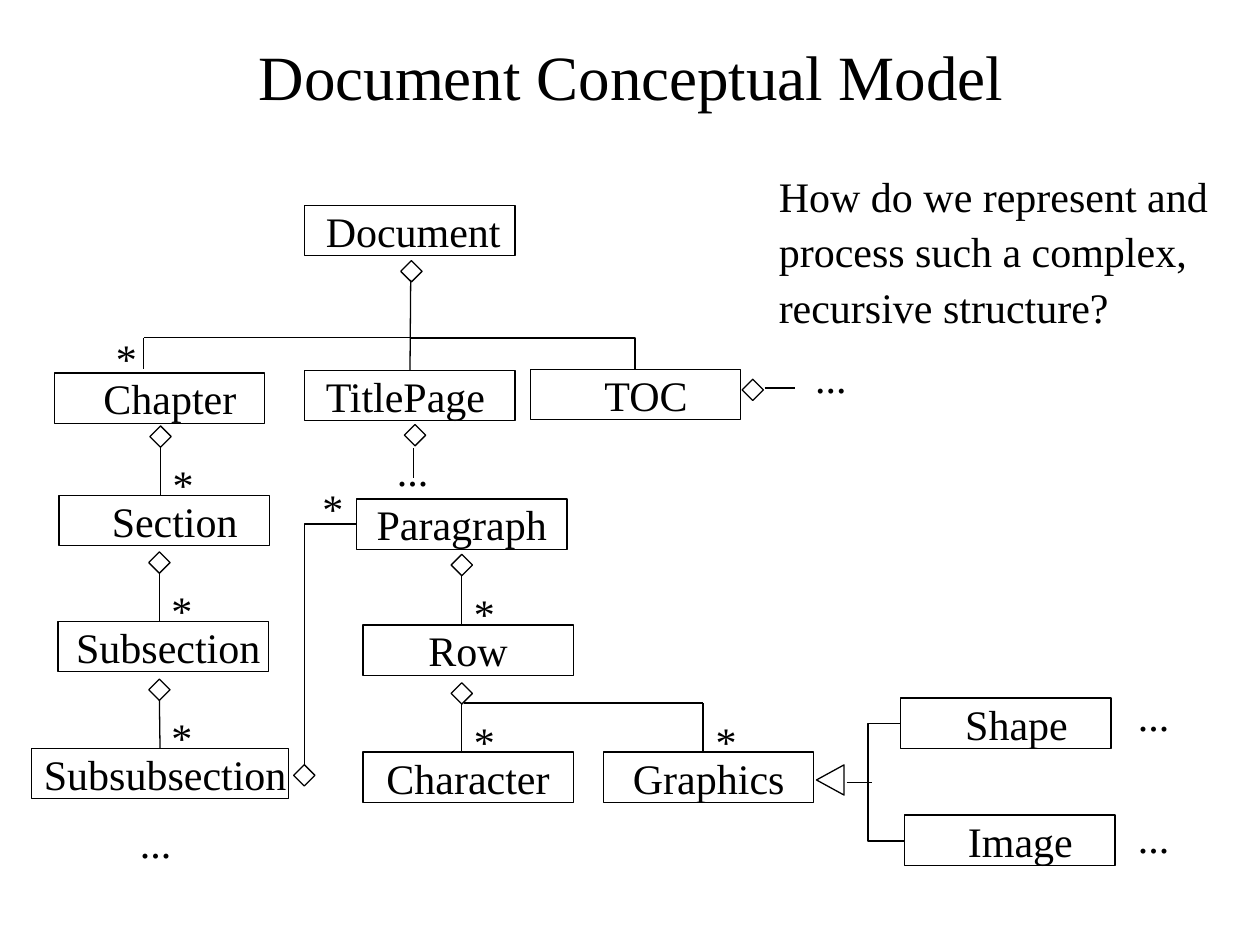
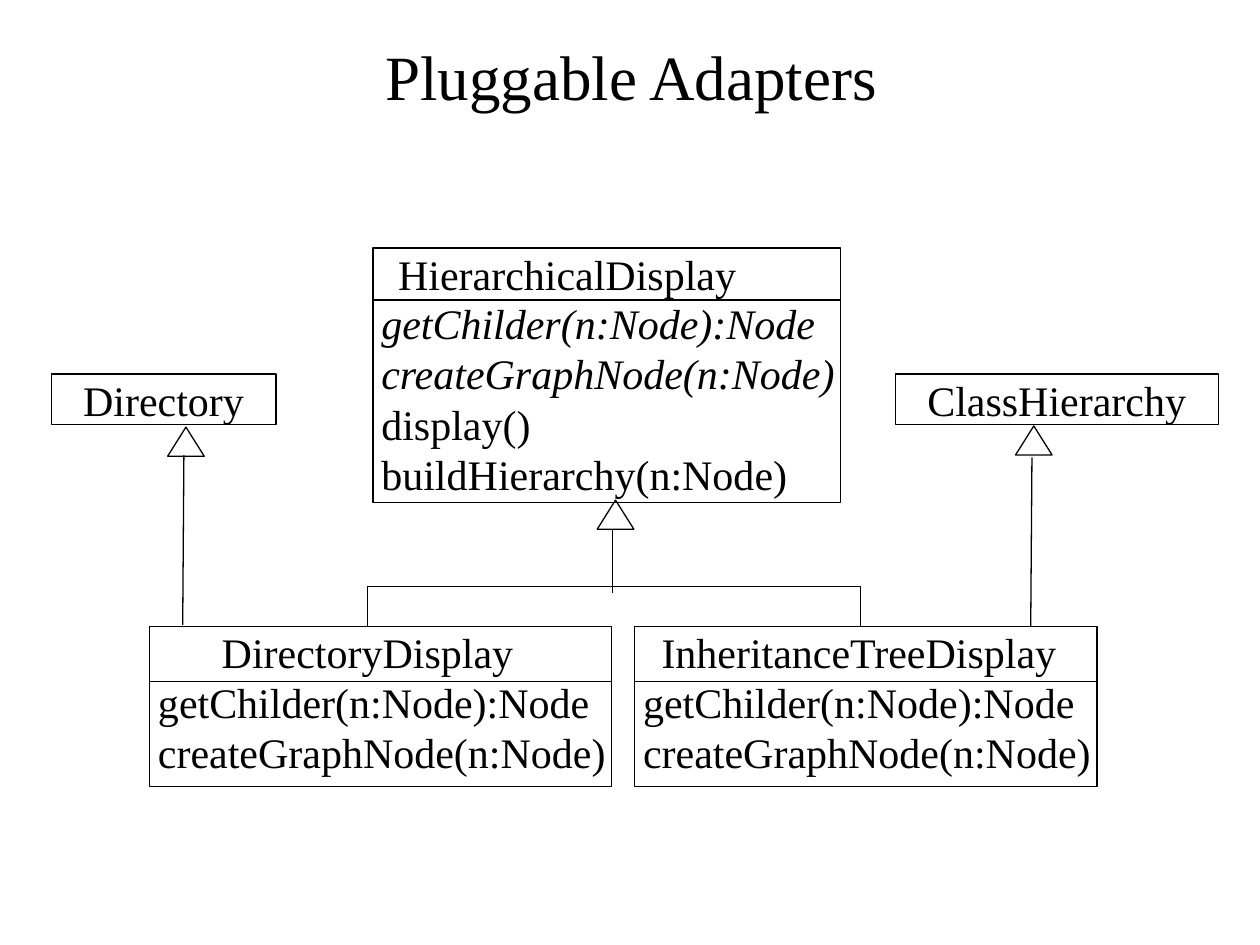
from lxml.etree import SubElement
from pptx import Presentation
from pptx.dml.color import RGBColor
from pptx.enum.shapes import MSO_CONNECTOR as Connector, MSO_SHAPE as Preset
from pptx.enum.text import MSO_ANCHOR as Anchor, MSO_AUTO_SIZE as AutoSize, PP_ALIGN as Align
from pptx.oxml.ns import qn
from pptx.util import Pt

TITLE_ONLY = 5
TOP_SIDE = 0
BOX_WIDTH, LINE_HEIGHT, DIAMOND = 120.2, 28.8, 12.2


def color(value):
    return RGBColor.from_string(value)


def set_values(target, values):
    for name, value in values.items():
        setattr(target, name, value)


class Diagram:
    ink = "000000"
    line_width = 0.75
    body_font = {"name": "Times New Roman", "size": Pt(24)}
    title_font = {"name": "Times New Roman", "size": Pt(36)}

    def __init__(self):
        self.presentation = Presentation()
        set_values(self.presentation, {"slide_width": Pt(720), "slide_height": Pt(540)})
        self.slide = None

    def new_slide(self, title):
        layout = self.presentation.slide_layouts[TITLE_ONLY]
        self.slide = self.presentation.slides.add_slide(layout)
        shape = self.slide.shapes.title
        set_values(shape, {"left": Pt(16.6), "top": Pt(17.3), "width": Pt(688.3), "height": Pt(51.8)})
        set_values(shape.text_frame, {"auto_size": AutoSize.NONE, "vertical_anchor": Anchor.MIDDLE})
        paragraph = shape.text_frame.paragraphs[0]
        paragraph.alignment = Align.CENTER
        self.add_run(paragraph, title, self.title_font)

    def add_run(self, paragraph, text, font, italic=False):
        run = paragraph.add_run()
        run.text = text
        set_values(run.font, {**font, "italic": italic})
        run.font.color.rgb = color(self.ink)

    def fill_text(self, shape, lines, align=Align.LEFT, inset=0, wrap=True, gap=0, italics=0):
        frame = shape.text_frame
        set_values(frame, {
            "margin_left": Pt(inset), "margin_right": 0, "margin_top": 0, "margin_bottom": 0,
            "word_wrap": wrap, "auto_size": AutoSize.NONE, "vertical_anchor": Anchor.TOP,
        })
        for index, line in enumerate(lines):
            paragraph = frame.add_paragraph() if index else frame.paragraphs[0]
            set_values(paragraph, {
                "alignment": align, "line_spacing": Pt(LINE_HEIGHT),
                "space_before": Pt(gap if index else 0),
            })
            self.add_run(paragraph, line, self.body_font, index < italics)

    def outline(self, preset, left, top, width, height, rotation=0):
        shape = self.slide.shapes.add_shape(preset, Pt(left), Pt(top), Pt(width), Pt(height))
        shape.fill.background()
        shape.line.color.rgb = color(self.ink)
        shape.line.width = Pt(self.line_width)
        shape.shadow.inherit = False
        shape.rotation = rotation
        return shape

    def box(self, name, left, top, inset=0, width=BOX_WIDTH, align=Align.CENTER):
        shape = self.outline(Preset.RECTANGLE, left, top, width, LINE_HEIGHT)
        self.fill_text(shape, [name], align, inset)
        return shape

    def text(self, lines, left, top, width, **options):
        height = LINE_HEIGHT * len(lines) + options.get("gap", 0) * (len(lines) - 1)
        shape = self.slide.shapes.add_textbox(Pt(left), Pt(top), Pt(width), Pt(height))
        self.fill_text(shape, lines, **options)

    def star(self, left, top):
        self.text(["*"], left, top, 12.2, wrap=False)

    def dots(self, left, top):
        self.text(["..."], left, top, 18, wrap=False)

    def diamond(self, left, top):
        self.outline(Preset.DIAMOND, left, top, DIAMOND, DIAMOND)

    def triangle(self, left, top, width=20.9, height=16.6, rotation=0):
        self.outline(Preset.ISOSCELES_TRIANGLE, left, top, width, height, rotation)

    def line(self, start, end, kind=Connector.STRAIGHT):
        ends = [Pt(value) for value in (*start, *end)]
        connector = self.slide.shapes.add_connector(kind, *ends)
        connector.line.color.rgb = color(self.ink)
        connector.line.width = Pt(self.line_width)
        SubElement(connector.element.spPr, qn("a:effectLst"))
        return connector

    def elbow(self, start, end, rotation, flips, preset="bentConnector3", bend=None):
        width, height = abs(end[0] - start[0]), abs(end[1] - start[1])
        middle_x, middle_y = (start[0] + end[0]) / 2, (start[1] + end[1]) / 2
        if rotation % 180:
            width, height = height, width
        left, top = middle_x - width / 2, middle_y - height / 2
        connector = self.line((left, top), (left + width, top + height), Connector.ELBOW)
        transform = connector.element.spPr.find(qn("a:xfrm"))
        transform.set("rot", str(rotation * 60000))
        for flip in flips:
            transform.set(flip, "1")
        geometry = connector.element.spPr.find(qn("a:prstGeom"))
        geometry.set("prst", preset)
        if bend is not None:
            guide = SubElement(geometry.find(qn("a:avLst")), qn("a:gd"))
            guide.set("name", "adj1")
            guide.set("fmla", f"val {round(bend * 100000)}")

    def aggregation(self, left, top, child=None):
        self.diamond(left, top)
        middle = left + DIAMOND / 2
        connector = self.line((middle, top + 12), (middle, top + 39.6))
        if child is not None:
            connector.end_connect(child, TOP_SIDE)
        self.star(left + 13, top + 18.7)

    def class_box(self, name, name_left, left, top, width, height, rule, members, italics=0):
        self.outline(Preset.RECTANGLE, left, top, width, height)
        self.text([name], name_left, top, width - (name_left - left))
        self.line((left, top + rule), (left + width, top + rule))
        self.text(members, left + 4.8, top + 28.2, width, italics=italics)


def document_model(diagram):
    diagram.new_slide("Document Conceptual Model")
    boxes = {}
    for name, left, top, inset in [
        ("TOC", 303.1, 211, 12), ("Chapter", 31, 213.1, 12),
        ("Section", 33.8, 283, 12), ("Subsection", 33.1, 355, 6),
        ("Paragraph", 203.8, 285.1, 0), ("Row", 207.4, 357.1, 0),
        ("Character", 207.4, 429.8, 0), ("Graphics", 344.9, 429.8, 0),
        ("Shape", 514.8, 398.9, 12), ("Image", 517, 465.8, 12),
    ]:
        diagram.box(name, left, top, inset)
    for name, top in [("Document", 117.4), ("TitlePage", 211.7)]:
        boxes[name] = diagram.box(name, 174.2, top, 12, align=Align.LEFT)
    subsubsection = diagram.box("Subsubsection", 18, 427.7, 6, 146.9)

    for left, top, child in [
        (85.7, 243.4, None), (85, 315.4, None), (85, 388.1, subsubsection),
        (257.8, 316.8, None), (257.8, 390.2, None),
    ]:
        diagram.aggregation(left, top, child)
    for left, top in [(229, 149), (167.8, 437), (424.1, 216.7), (231.1, 242.6)]:
        diagram.diamond(left, top)
    for left, top in [(66.2, 190.1), (184.3, 275.8), (409, 409)]:
        diagram.star(left, top)
    for left, top in [(79.9, 466.6), (650.2, 393.8), (650.2, 463.7), (465.8, 200.9), (226.8, 254.2)]:
        diagram.dots(left, top)

    trunk = diagram.line((234.7, 160), (234.3, 211.7))
    trunk.end_connect(boxes["TitlePage"], TOP_SIDE)
    for start, end in [
        ((234.7, 193), (82.1, 193)), ((82.1, 193), (82.1, 211)),
        ((265, 401.8), (401.8, 401.8)), ((401.8, 401.8), (401.8, 429.8)),
        ((483.8, 447.1), (498.2, 447.1)), ((437, 221.8), (454.3, 221.8)),
        ((236.2, 256.3), (236.2, 272.9)),
    ]:
        diagram.line(start, end)
    diagram.elbow((234.7, 160), (362.9, 211), 270, ["flipH"], bend=0.65)
    diagram.elbow((174.2, 437), (203.8, 299.5), 90, ["flipH", "flipV"], "bentConnector2")
    diagram.elbow((514.8, 413.6), (517, 480.6), 180, ["flipH", "flipV"], bend=-8.5)
    diagram.triangle(465.8, 437.8, 17.3, 15.8, rotation=270)
    question = ["How do we represent and", "process such a complex,", "recursive structure?"]
    diagram.text(question, 445, 97.2, 250, gap=3)


def pluggable_adapters(diagram):
    diagram.new_slide("Pluggable Adapters")
    adapters = ["getChilder(n:Node):Node", "createGraphNode(n:Node)"]
    diagram.class_box("HierarchicalDisplay", 227.5, 213.1, 141.8, 267.1, 145.4, 29.6,
                      adapters + ["display()", "buildHierarchy(n:Node)"], italics=len(adapters))
    for name, name_left, left in [
        ("DirectoryDisplay", 126.7, 85.5), ("InheritanceTreeDisplay", 378, 362.7),
    ]:
        diagram.class_box(name, name_left, left, 358.2, 264.2, 91.4, 31.3, adapters)
    for name, left, width in [("Directory", 29.5, 128.2), ("ClassHierarchy", 511.9, 184.3)]:
        diagram.box(name, left, 213.8, 18, width, Align.LEFT)
    for left, top in [(341.3, 285.8), (95.8, 244.1), (580.3, 243.4)]:
        diagram.triangle(left, top)
    diagram.elbow((210.2, 357.8), (491.8, 358.12), 270, ["flipH"], bend=-72)
    for start, end in [
        ((349.9, 339.1), (349.9, 302.4)),
        ((105.1, 260.3), (104.4, 357.1)), ((589.7, 261.4), (589, 357.8)),
    ]:
        diagram.line(start, end)


def main():
    diagram = Diagram()
    document_model(diagram)
    pluggable_adapters(diagram)
    diagram.presentation.save("out.pptx")


if __name__ == "__main__":
    main()
